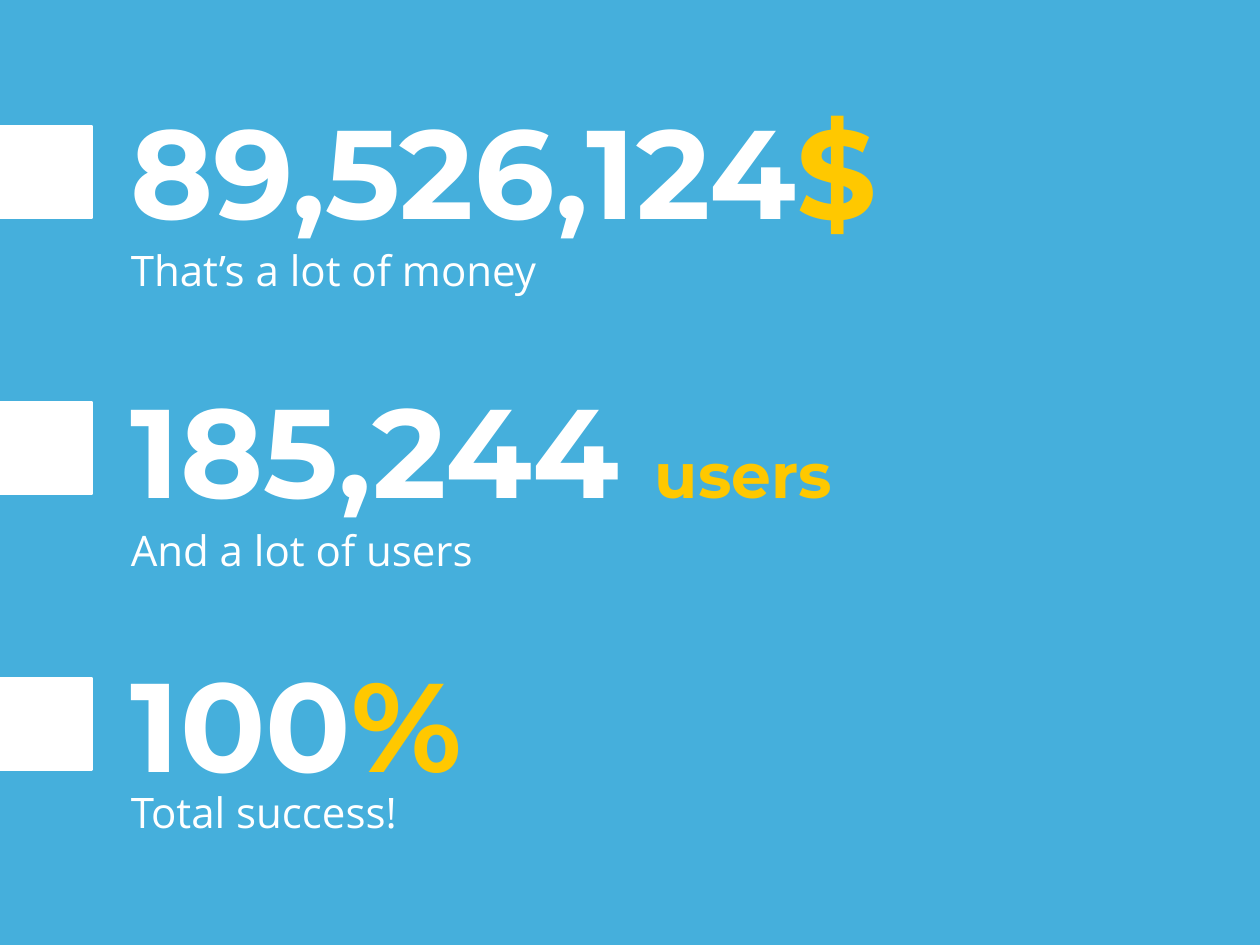
from pptx import Presentation
from pptx import util as u
from pptx.dml.color import RGBColor
from pptx.enum import shapes, text

COLORS = {"sky": "45AFDC", "white": "FFFFFF", "gold": "FFC800"}
WIDTH, HEIGHT = 10, 7.5
MARGIN = 0.94
MARKER_SIZE, MARKER_TOP, ROW_PITCH = 0.73, 1, 2.19


class Deck:
    heading_font = "Montserrat"
    body_font = "Open Sans"

    def __init__(self):
        self.presentation = Presentation()
        self.presentation.slide_width = u.Inches(WIDTH)
        self.presentation.slide_height = u.Inches(HEIGHT)
        self.slide = self.presentation.slides.add_slide(self.presentation.slide_layouts[6])
        self.paint(self.slide.background.fill, "sky")

    def paint(self, fill, color):
        fill.solid()
        fill.fore_color.rgb = RGBColor.from_string(COLORS[color])

    def place(self, *lengths):
        return [u.Inches(length) for length in lengths]

    def marker(self, top):
        square = self.slide.shapes.add_shape(
            shapes.MSO_SHAPE.RECTANGLE, *self.place(0, top, MARKER_SIZE, MARKER_SIZE))
        square.shadow.inherit = False
        self.paint(square.fill, "white")
        self.paint(square.line.fill, "white")
        square.line.width = u.Pt(1.5)

    def line(self, top, height, font, size, bold, pieces):
        frame = self.slide.shapes.add_textbox(
            *self.place(MARGIN, top, 8.5, height)).text_frame
        frame.word_wrap = True
        frame.vertical_anchor = text.MSO_ANCHOR.TOP
        frame.margin_left = frame.margin_right = u.Inches(0.1)
        frame.margin_top = frame.margin_bottom = u.Inches(0.1)
        paragraph = frame.paragraphs[0]
        paragraph.font.name = font
        paragraph.font.bold = bold
        paragraph.font.size = u.Pt(size)
        for wording, color, piece_size in pieces:
            run = paragraph.add_run()
            run.text = wording
            run.font.size = u.Pt(piece_size)
            self.paint(run.font.fill, color)

    def figure(self, top, number, unit, unit_size):
        self.line(top, 1.31, self.heading_font, 72, True,
                  [(number, "white", 72), (unit, "gold", unit_size)])

    def caption(self, top, wording):
        self.line(top, 0.68, self.body_font, 24, False, [(wording, "white", 24)])


RESULTS = [
    (0.64, "89,526,124", "$", 72, 1.84, "That’s a lot of money"),
    (2.86, "185,244 ", "users", 36, 4.06, "And a lot of users"),
    (5.03, "100", "%", 72, 6.14, "Total success!"),
]

deck = Deck()
for row, (figure_top, number, unit, unit_size, caption_top, caption) in enumerate(RESULTS):
    deck.figure(figure_top, number, unit, unit_size)
    deck.caption(caption_top, caption)
    deck.marker(MARKER_TOP + row * ROW_PITCH)
deck.presentation.save("out.pptx")
